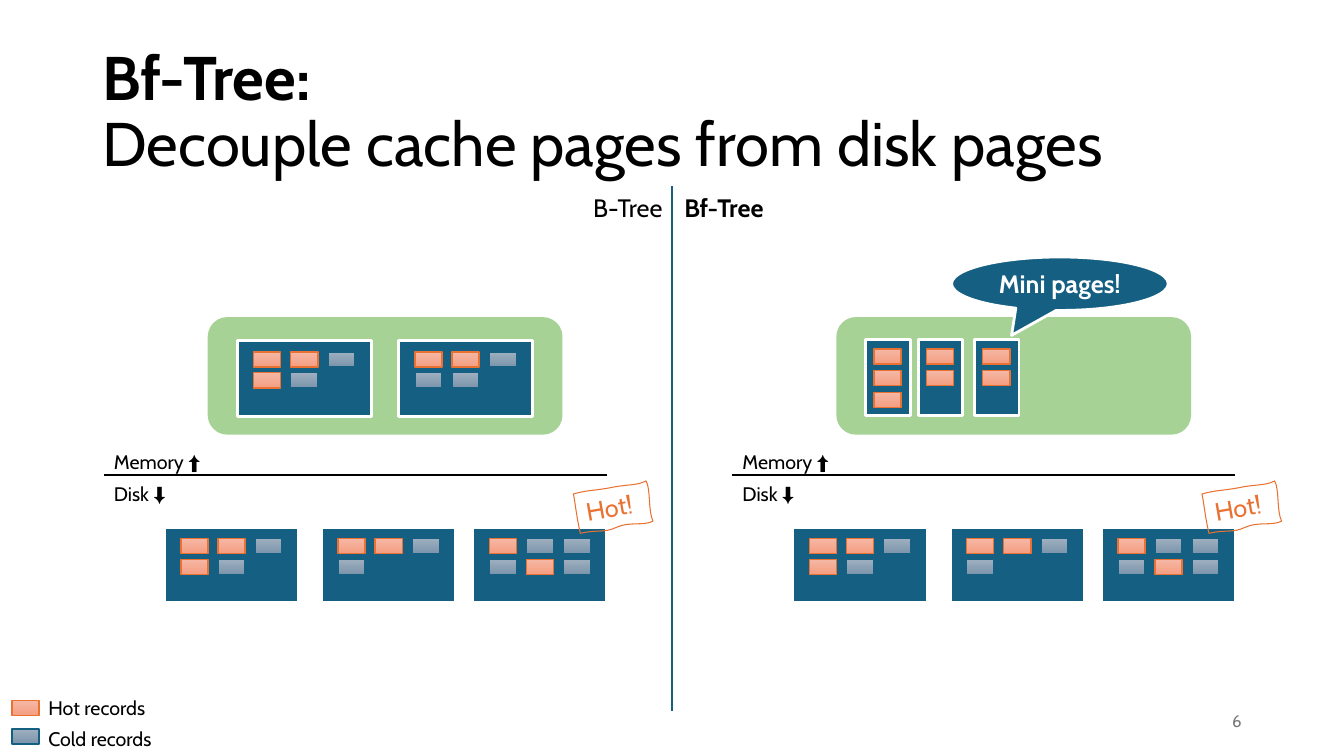
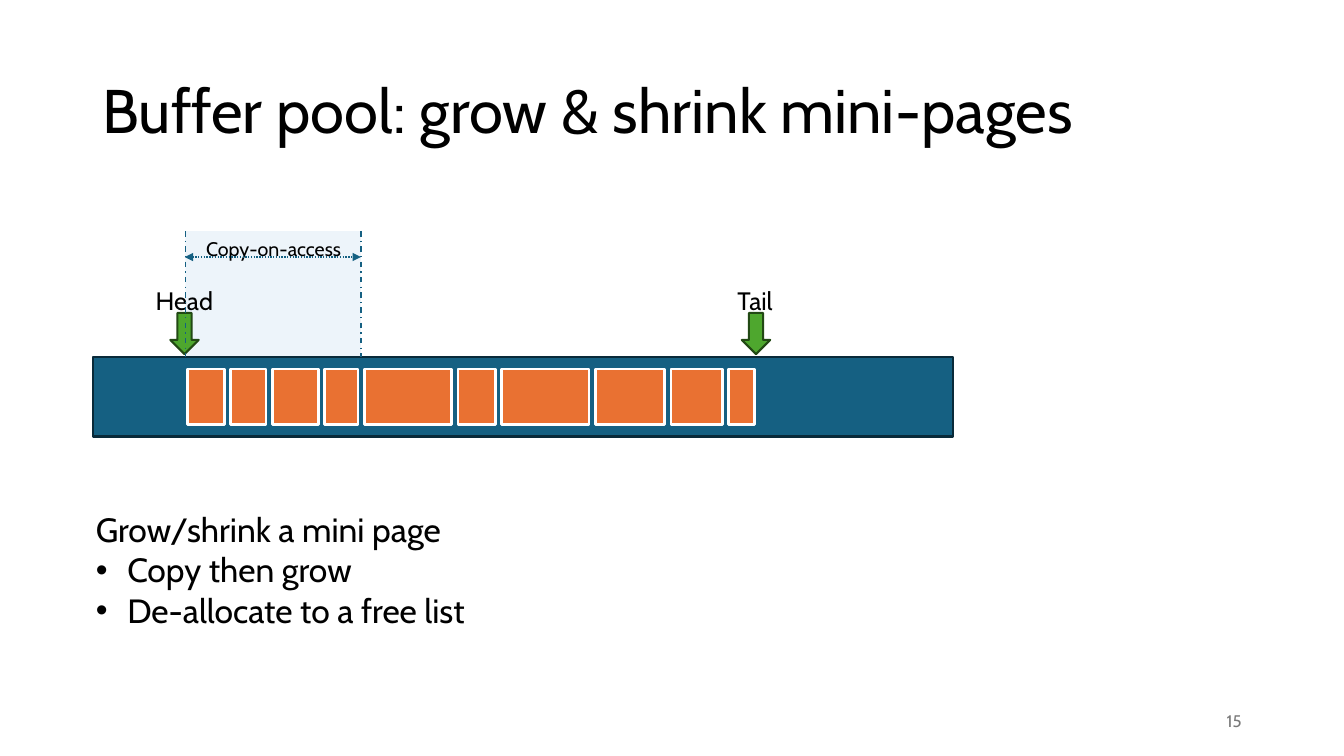
"""Build two slides on Bf-Tree mini pages and their buffer pool."""
from lxml import etree
from pptx import Presentation
from pptx.dml import color
from pptx.enum import dml, shapes, text
from pptx.oxml import ns
from pptx.util import Pt

FONT = "Cabin"
BLACK, WHITE, GRAY = "000000", "FFFFFF", "797979"
NAVY, NAVY_EDGE, ORANGE = "156082", "092A39", "E97132"
GREEN, GREEN_EDGE, PALE = "4EA72E", "224914", "DCEAF7"
RECORDS = {"H": (("F5B8A5", "F59E82"), ORANGE), "C": (("9EAFBF", "7C95AB"), NAVY)}
REC_W, REC_H = 19.4, 10.8
SIDE = 449

rgb = color.RGBColor.from_string
MSO, ALIGN, ANCHOR = shapes.MSO_SHAPE, text.PP_ALIGN, text.MSO_ANCHOR


def add_box(s, kind, at, fill, line=None, width=1, alpha=None):
    sp = s.shapes.add_shape(kind, *map(Pt, at))
    sp.shadow.inherit = False
    if isinstance(fill, tuple):
        sp.fill.gradient()
        sp.fill.gradient_angle = 270
        for stop, c in zip(sp.fill.gradient_stops, fill):
            stop.color.rgb = rgb(c)
    else:
        sp.fill.solid()
        sp.fill.fore_color.rgb = rgb(fill)
    if alpha:
        clr = sp.element.spPr.find(ns.qn("a:solidFill"))[0]
        etree.SubElement(clr, ns.qn("a:alpha")).set("val", str(alpha * 1000))
    if line:
        sp.line.color.rgb = rgb(line)
        sp.line.width = Pt(width)
    else:
        sp.line.fill.background()
    return sp


def write(sp, words, size, c=BLACK, bold=False, align=ALIGN.LEFT, anchor=ANCHOR.TOP, spacing=1.0):
    tf = sp.text_frame
    tf.text = words
    frame = {"word_wrap": True, "auto_size": text.MSO_AUTO_SIZE.NONE, "vertical_anchor": anchor}
    para = {"alignment": align, "line_spacing": spacing, "space_before": Pt(0)}
    font = {"name": FONT, "size": Pt(size), "bold": bold}
    for k, v in frame.items():
        setattr(tf, k, v)
    for p in tf.paragraphs:
        for k, v in para.items():
            setattr(p, k, v)
        for r in p.runs:
            for k, v in font.items():
                setattr(r.font, k, v)
            r.font.color.rgb = rgb(c)
    return tf


prs = Presentation()
prs.slide_width, prs.slide_height = Pt(960), Pt(540)

slides = []
for layout, title, number in [
    (5, "Bf-Tree:\vDecouple cache pages from disk pages", "6"),
    (1, "Buffer pool: grow & shrink mini-pages", "15"),
]:
    s = prs.slides.add_slide(prs.slide_layouts[layout])
    sp = s.shapes.title
    sp.left, sp.top, sp.width, sp.height = map(Pt, (66, 28.8, 828, 104.4))
    write(sp, title, 44, anchor=ANCHOR.MIDDLE, spacing=0.9)
    sp = s.shapes.add_textbox(*map(Pt, (678, 500.5, 216, 28.8)))
    write(sp, number, 12, GRAY, align=ALIGN.RIGHT, anchor=ANCHOR.MIDDLE)
    slides.append(s)
trees, pool = slides
trees.shapes.title.text_frame.paragraphs[0].runs[0].font.bold = True

for x in (0, SIDE):
    add_box(trees, MSO.ROUNDED_RECTANGLE, (148.4 + x, 226.5, 253.4, 84), GREEN, alpha=50)

disk_pages = [(117.4, ["HHC", "HC"]), (229.7, ["HHC", "C"]), (337.7, ["HCC", "CHC"])]
cache_pages = [(169.4, ["HHC", "HC"]), (284.6, ["HHC", "CC"])]
mini_pages = [(618.5, ["H", "H", "H"]), (656, ["H", "H"]), (696.2, ["H", "H"])]
page_groups = [
    (disk_pages, 0, 376.6, 95.8, 11.8, 8, 14.9),
    (disk_pages, SIDE, 376.6, 95.8, 11.8, 8, 14.9),
    (cache_pages, 0, 243.4, 95.8, 11.8, 8, 14.9),
    (mini_pages, 0, 242.7, 31.7, 5.8, 6.5, 15.5),
]
for pages, shift, top, width, dx, dy, pitch in page_groups:
    for left, rows in pages:
        left += shift
        add_box(trees, MSO.RECTANGLE, (left, top, width, 54), NAVY, WHITE, 2)
        for i, row in enumerate(rows):
            for j, kind in enumerate(row):
                at = (left + dx + 26.5 * j, top + dy + pitch * i, REC_W, REC_H)
                add_box(trees, MSO.RECTANGLE, at, *RECORDS[kind])

flag_curves = [
    ((0, 0.3), (10.4, -0.8), (13.2, 0.4), (25.5, 0.4)),
    ((25.5, 0.4), (38.9, -0.2), (45.7, 2.4), (52.7, 0)),
    ((52.7, 0), (55.2, 6.3), (50.4, 21.5), (52.7, 29.2)),
    ((52.7, 29.2), (45, 31.5), (36.3, 26.4), (26.4, 29)),
    ((26.4, 29), (16.5, 31.7), (12.7, 28.1), (0.1, 28.8)),
    ((0.1, 28.8), (-0.7, 17), (0.3, 6.9), (0, 0.3)),
]
outline = []
for curve in flag_curves:
    for step in range(1, 9):
        t = step / 8
        weights = ((1 - t) ** 3, 3 * t * (1 - t) ** 2, 3 * t * t * (1 - t), t ** 3)
        outline.append([sum(w * pt[axis] for w, pt in zip(weights, curve)) for axis in (0, 1)])
for x in (411.7, 411.7 + SIDE):
    points = [(Pt(x + px), Pt(347.8 + py)) for px, py in outline]
    pen = trees.shapes.build_freeform(*points[-1])
    pen.add_line_segments(points)
    sp = pen.convert_to_shape()
    sp.shadow.inherit = False
    sp.fill.background()
    sp.line.color.rgb = rgb(ORANGE)
    sp.line.width = Pt(0.75)
    sp.rotation = 350.1
    write(sp, "Hot!", 18, ORANGE)

for y, kind in [(500.4, "H"), (520.6, "C")]:
    add_box(trees, MSO.RECTANGLE, (8.6, y, REC_W, REC_H), *RECORDS[kind])

sp = add_box(trees, MSO.OVAL_CALLOUT, (679.7, 183.6, 154.8, 38.2), NAVY, WHITE, 2)
sp.adjustments[0], sp.adjustments[1] = -0.223, 0.965
write(sp, "Mini pages!", 18, WHITE, True, ALIGN.CENTER, ANCHOR.MIDDLE)

add_box(pool, MSO.RECTANGLE, (132.5, 165, 125.3, 90), PALE, alpha=50)
add_box(pool, MSO.RECTANGLE, (66.2, 254.9, 614.9, 56.9), NAVY, NAVY_EDGE, 1.5)
left = 133.9
for width in (26.6, 25.2, 33.1, 23.8, 62.6, 26.6, 62.6, 49.7, 36.7, 18.7):
    add_box(pool, MSO.RECTANGLE, (left, 263.5, width, 39.6), ORANGE, WHITE, 2)
    left += width + 4.4
for x in (121.7, 529.9):
    add_box(pool, MSO.DOWN_ARROW, (x, 223.5, 20.2, 29.4), GREEN, GREEN_EDGE, 1.5)

labels = [
    (trees, "B-Tree", (344.9, 133.9, 135.4), 18, False, ALIGN.RIGHT),
    (trees, "Bf-Tree", (481.7, 133.9, 90), 18, True, ALIGN.LEFT),
    (trees, "Hot records", (27.4, 493.9, 110), 14, False, ALIGN.LEFT),
    (trees, "Cold records", (27.4, 515.5, 110), 14, False, ALIGN.LEFT),
    (pool, "Head", (98.6, 200.5, 66.2), 18, False, ALIGN.CENTER),
    (pool, "Tail", (506.2, 200.5, 66.2), 18, False, ALIGN.CENTER),
    (pool, "Copy-on-access", (133.2, 165.6, 124.6), 14, False, ALIGN.CENTER),
]
for x in (74.2, 74.2 + SIDE):
    labels.append((trees, "Memory ⬆️", (x, 318.2, 110), 14, False, ALIGN.LEFT))
    labels.append((trees, "Disk ⬇️", (x, 341, 110), 14, False, ALIGN.LEFT))
for s, words, (x, y, width), size, bold, align in labels:
    sp = s.shapes.add_textbox(Pt(x), Pt(y), Pt(width), Pt(size + 10.5))
    write(sp, words, size, bold=bold, align=align)

sp = pool.placeholders[1]
sp.left, sp.top, sp.width, sp.height = map(Pt, (61.2, 360, 615, 94.3))
tf = write(sp, "Grow/shrink a mini page\nCopy then grow\nDe-allocate to a free list", 24)
for i, p in enumerate(tf.paragraphs):
    indent = Pt(22.5) if i else 0
    pPr = p._p.get_or_add_pPr()
    pPr.set("marL", str(indent))
    pPr.set("indent", str(-indent))
    if i:
        etree.SubElement(pPr, ns.qn("a:buChar")).set("char", "•")
    else:
        etree.SubElement(pPr, ns.qn("a:buNone"))

DASH_DOT, DOT = dml.MSO_LINE.DASH_DOT, dml.MSO_LINE.ROUND_DOT
lines = [
    (trees, (480.2, 133.2, 480.2, 507.6), NAVY, 1.5, None, False),
    (trees, (74.2, 339.6, 433.4, 339.6), BLACK, 1.5, None, False),
    (trees, (74.2 + SIDE, 339.6, 433.4 + SIDE, 339.6), BLACK, 1.5, None, False),
    (pool, (132.5, 165, 132.5, 254.9), NAVY, 1, DASH_DOT, False),
    (pool, (257.8, 165, 257.8, 254.9), NAVY, 1, DASH_DOT, False),
    (pool, (132, 183.6, 257.8, 183.6), NAVY, 1, DOT, True),
]
for s, ends, c, width, dash, arrows in lines:
    sp = s.shapes.add_connector(shapes.MSO_CONNECTOR.STRAIGHT, *map(Pt, ends))
    sp.line.color.rgb = rgb(c)
    sp.line.width = Pt(width)
    if dash:
        sp.line.dash_style = dash
    if arrows:
        ln = sp.element.spPr.find(ns.qn("a:ln"))
        for end in ("a:headEnd", "a:tailEnd"):
            etree.SubElement(ln, ns.qn(end)).set("type", "triangle")
    etree.SubElement(sp.element.spPr, ns.qn("a:effectLst"))

prs.save("out.pptx")
